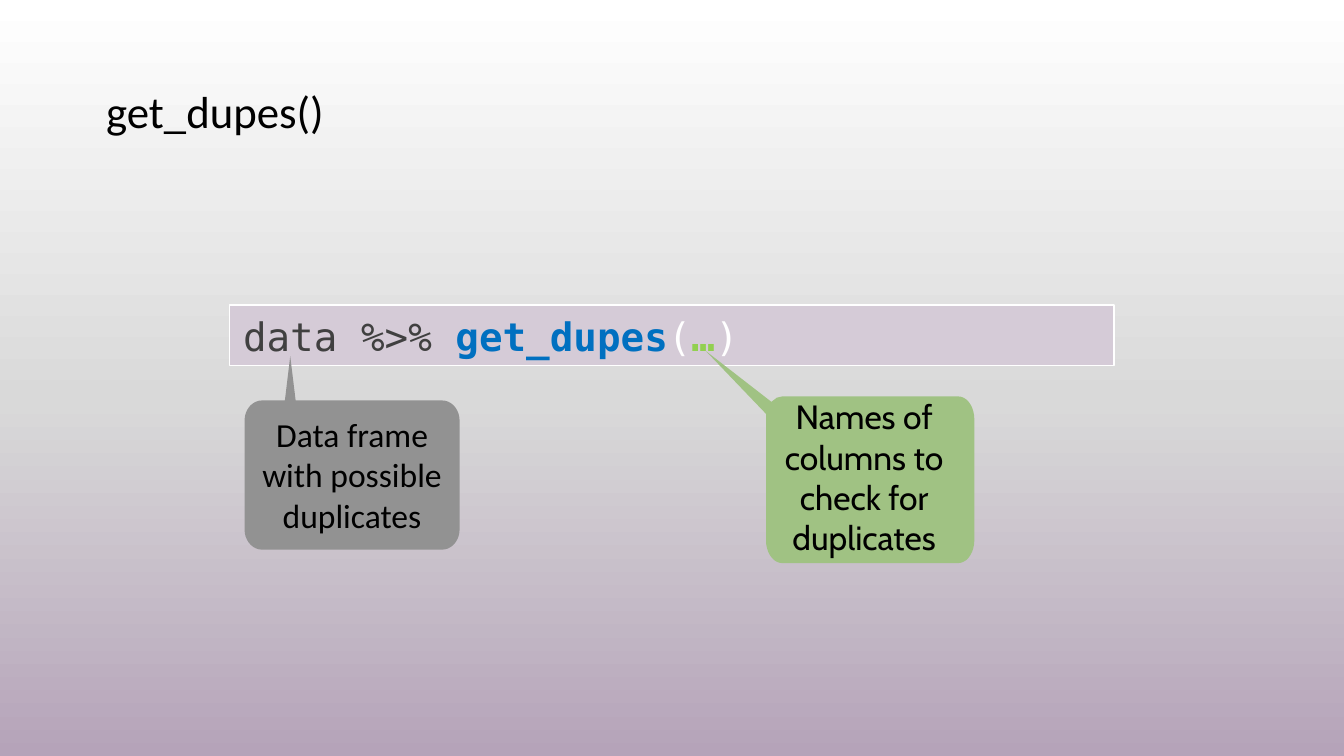
"""Build a slide that explains the parts of a get_dupes() call."""
from copy import deepcopy
from math import cos, radians, sin

from pptx import Presentation
from pptx.dml.color import RGBColor
from pptx.enum.shapes import MSO_SHAPE
from pptx.enum.text import MSO_ANCHOR, MSO_AUTO_SIZE, PP_ALIGN
from pptx.oxml.ns import qn
from pptx.util import Inches, Pt

RECTANGLE = MSO_SHAPE.RECTANGLE
MIDDLE = MSO_ANCHOR.MIDDLE
GROW = MSO_AUTO_SIZE.SHAPE_TO_FIT_TEXT
NO_AUTOFIT = MSO_AUTO_SIZE.NONE
LEFT, CENTER = PP_ALIGN.LEFT, PP_ALIGN.CENTER

SLIDE_WIDTH = 10
SLIDE_HEIGHT = SLIDE_WIDTH * 9 / 16

THEME = {
    "text": "000000", "bar": "D5CBD7", "bar_line": "FFFFFF",
    "data": "404040", "function": "0070C0", "bracket": "FFFFFF", "dots": "92D050",
    "heading_font": "Calibri", "code_font": "DejaVu Sans Mono",
    "title_size": 24, "code_size": 21, "note_size": 18,
    "background": [(0, "FFFFFF"), (0.53, "D9D9D9"), (1, "B5A3B9")],
}

TITLE = "get_dupes()"
CODE = [
    ("data %>% ", "data", False),
    ("get_dupes", "function", True),
    ("(", "bracket", False),
    ("…", "dots", True),
    (")", "bracket", False),
]
CALLOUTS = [
    {
        "note": "Data frame with possible duplicates", "font": "Calibri",
        "fill": "929292", "body": (1.82, 2.98, 1.6, 1.11), "radius": (0.13, 0.15),
        "note_box": (1.82, 3.03, 1.6, 1.01), "tip": (2.16, 2.65),
        "tail_start": [(2.12, 2.98)], "tail_end": [(2.2, 2.98)],
        "top_left_round": True,
    },
    {
        "note": "Names of columns to check for duplicates", "font": "Cabin",
        "fill": "A0C283", "body": (5.7, 2.95, 1.55, 1.24), "radius": (0.12, 0.17),
        "note_box": (5.63, 2.9, 1.6, 1.31), "tip": (5.25, 2.61),
        "tail_start": [(5.7, 3.08)],
        "tail_end": [(5.82, 2.95), (5.78, 2.96), (5.74, 2.99)],
        "top_left_round": False,
    },
]


def color(value):
    return RGBColor.from_string(value)


def style(run, font, size, value, bold=False):
    run.font.name, run.font.size, run.font.bold = font, Pt(size), bold
    run.font.color.rgb = color(value)


def paint_background(slide):
    fill = slide.background.fill
    fill.gradient()
    fill.gradient_angle = 270
    stop_list = next(slide.element.iter(qn("a:gsLst")))
    stop_list.append(deepcopy(stop_list[-1]))
    for stop, (position, value) in zip(fill.gradient_stops, THEME["background"]):
        stop.position = position
        stop.color.rgb = color(value)


def add_title(slide):
    title = slide.shapes.title
    title.left, title.top, title.width, title.height = map(Inches, (0.69, 0.3, 8.62, 1.09))
    frame = title.text_frame
    frame.text = TITLE
    frame.vertical_anchor = MIDDLE
    frame.auto_size = NO_AUTOFIT
    line = frame.paragraphs[0]
    line.alignment, line.line_spacing = LEFT, 0.9
    style(line.runs[0], THEME["heading_font"], THEME["title_size"], THEME["text"])


def add_code(slide):
    bar = slide.shapes.add_shape(RECTANGLE, *map(Inches, (1.71, 2.27, 6.58, 0.45)))
    bar.shadow.inherit = False
    bar.fill.solid()
    bar.fill.fore_color.rgb = color(THEME["bar"])
    bar.line.color.rgb = color(THEME["bar_line"])
    bar.line.width = Pt(0.75)
    bar.text_frame.word_wrap = True
    bar.text_frame.auto_size = GROW
    line = bar.text_frame.paragraphs[0]
    line.alignment = LEFT
    for token, role, bold in CODE:
        run = line.add_run()
        run.text = token
        style(run, THEME["code_font"], THEME["code_size"], THEME[role], bold)


def callout_outline(callout):
    left, top, width, height = callout["body"]
    rx, ry = callout["radius"]
    near_x, far_x = left + rx, left + width - rx
    near_y, far_y = top + ry, top + height - ry
    corners = [(near_x, near_y, 270), (near_x, far_y, 180),
               (far_x, far_y, 90), (far_x, near_y, 0)]
    points = [callout["tip"], *callout["tail_start"]]
    for x, y, start in corners if callout["top_left_round"] else corners[1:]:
        for angle in range(start, start - 91, -10):
            points.append((x + rx * cos(radians(angle)), y + ry * sin(radians(angle))))
    return points + callout["tail_end"]


def add_callout(slide, callout):
    points = [(Inches(x), Inches(y)) for x, y in callout_outline(callout)]
    builder = slide.shapes.build_freeform(*points[0])
    builder.add_line_segments(points[1:], close=True)
    bubble = builder.convert_to_shape()
    bubble.shadow.inherit = False
    bubble.fill.solid()
    bubble.fill.fore_color.rgb = color(callout["fill"])
    bubble.line.fill.background()

    note = slide.shapes.add_textbox(*map(Inches, callout["note_box"]))
    frame = note.text_frame
    frame.word_wrap = True
    frame.auto_size = GROW
    frame.text = callout["note"]
    line = frame.paragraphs[0]
    line.alignment = CENTER
    style(line.runs[0], callout["font"], THEME["note_size"], THEME["text"])


def main():
    deck = Presentation()
    deck.slide_width, deck.slide_height = Inches(SLIDE_WIDTH), Inches(SLIDE_HEIGHT)
    slide = deck.slides.add_slide(deck.slide_layouts[5])
    paint_background(slide)
    add_title(slide)
    add_code(slide)
    for callout in CALLOUTS:
        add_callout(slide, callout)
    deck.save("out.pptx")


if __name__ == "__main__":
    main()
